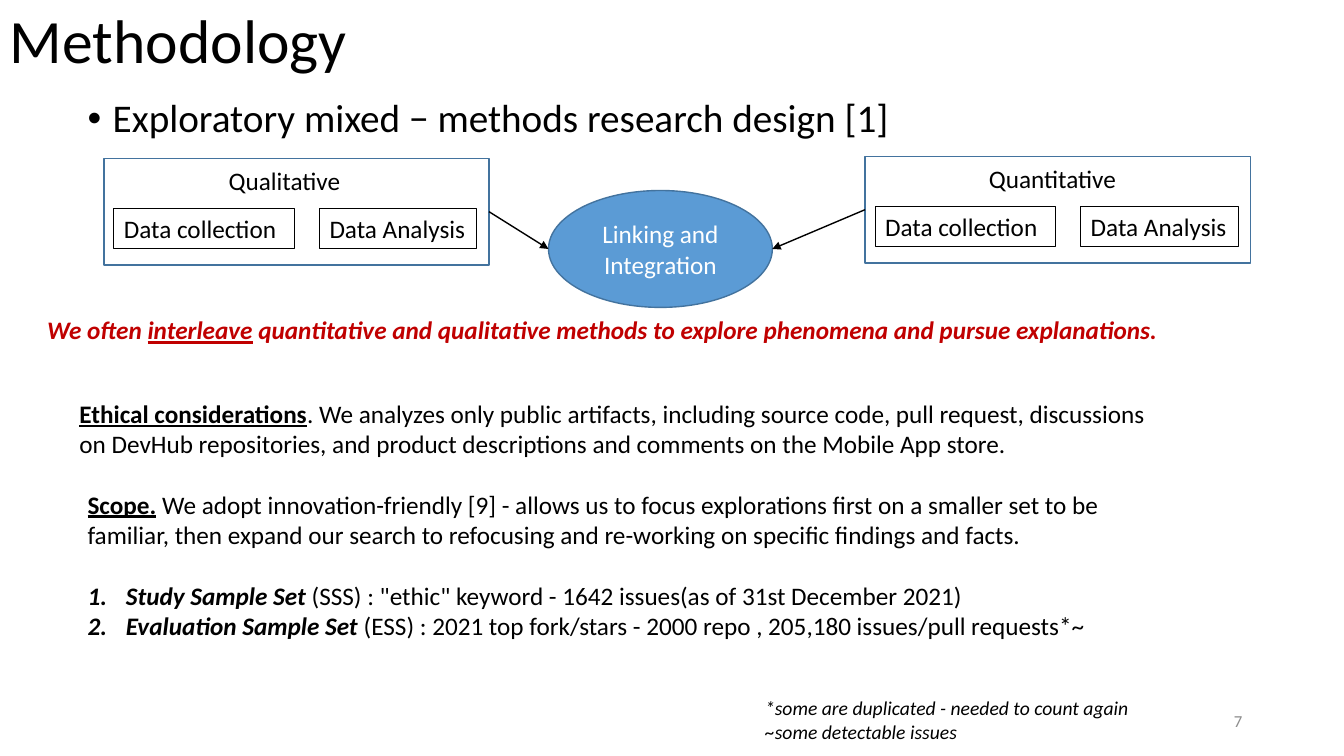
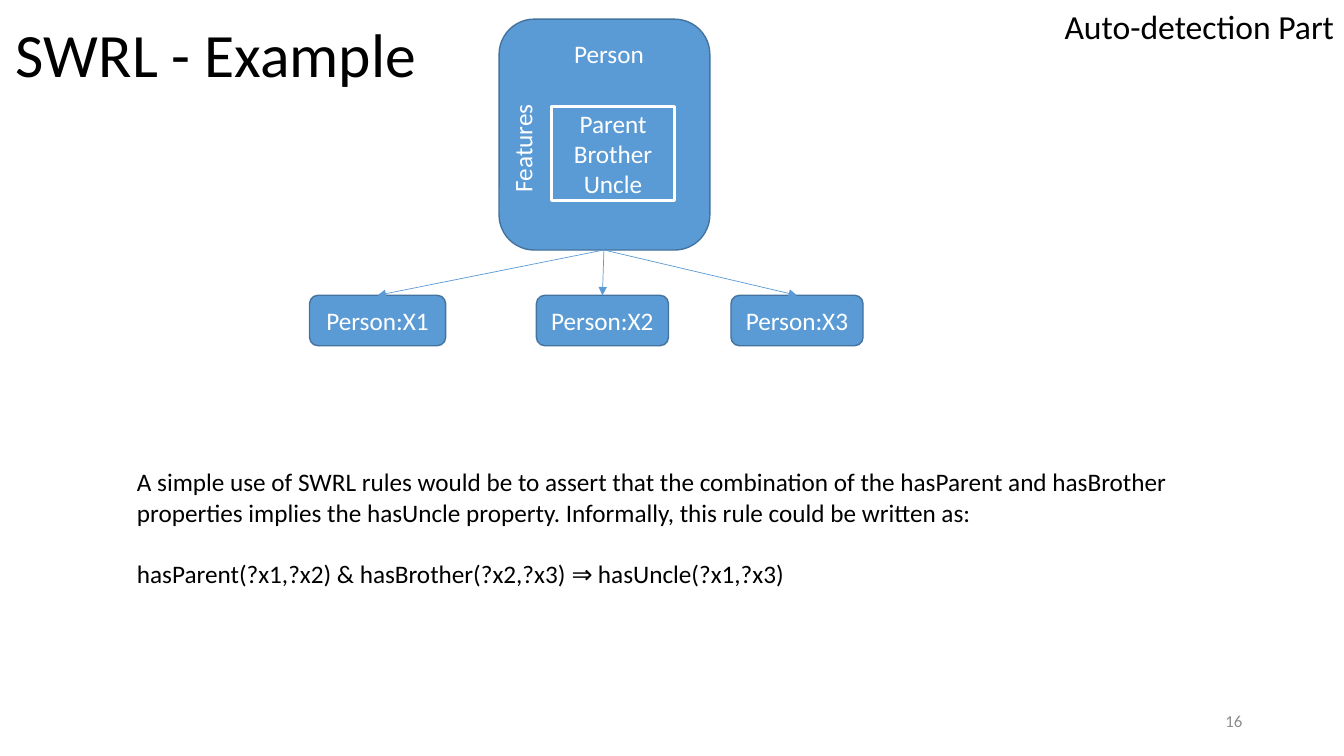
"""Build the methodology slide and the SWRL example slide."""
from dataclasses import dataclass

from lxml.etree import SubElement
from pptx import Presentation
from pptx.dml.color import RGBColor as RGB
from pptx.enum.shapes import MSO_CONNECTOR as LINE, MSO_SHAPE as GEO
from pptx.enum.text import MSO_ANCHOR as ANC, PP_ALIGN as AL
from pptx.oxml.ns import qn
from pptx.util import Inches, Pt


@dataclass(frozen=True)
class Theme:
    font: str = "Calibri"
    black: str = "000000"
    white: str = "FFFFFF"
    blue: str = "5B9BD5"
    edge: str = "43739E"
    red: str = "C00000"
    gray: str = "8C8C8C"
    title: int = 44
    lead: int = 28
    tag: int = 24
    text: int = 18
    note: int = 14
    foot: int = 12


T = Theme()


def box(slide, spot, paras=(), geo=None, fill=None, line=None, wide=1, size=T.text,
        ink=T.black, align=AL.LEFT, anchor=ANC.TOP, wrap=True, lead=None):
    """Add a box; a paragraph is (runs, space before, bullet, indent), a run (text, style)."""
    spot = [Inches(v) for v in spot]
    if geo is None:
        shape = slide.shapes.add_textbox(*spot)
    else:
        shape = slide.shapes.add_shape(geo, *spot)
        shape.shadow.inherit = False
        if fill:
            shape.fill.solid()
            shape.fill.fore_color.rgb = RGB.from_string(fill)
        else:
            shape.fill.background()
        if line:
            shape.line.color.rgb = RGB.from_string(line)
            shape.line.width = Pt(wide)
        else:
            shape.line.fill.background()
    frame = shape.text_frame
    frame.word_wrap = wrap
    frame.vertical_anchor = anchor
    for n, (runs, gap, mark, dent) in enumerate(paras):
        para = frame.add_paragraph() if n else frame.paragraphs[0]
        para.alignment = align
        if lead:
            para.line_spacing = lead
        if gap:
            para.space_before = Pt(gap)
        if mark:
            props = para._p.get_or_add_pPr()
            props.set("marL", str(Inches(dent)))
            props.set("indent", str(-Inches(dent)))
            if mark == "1.":
                SubElement(props, qn("a:buFont"), typeface="+mj-lt")
                SubElement(props, qn("a:buAutoNum"), type="arabicPeriod")
            else:
                SubElement(props, qn("a:buFont"), typeface="Arial")
                SubElement(props, qn("a:buChar"), char=mark)
        for text, style in runs:
            run = para.add_run()
            run.text = text
            font = run.font
            font.name, font.size = T.font, Pt(size)
            font.color.rgb = RGB.from_string(ink)
            font.bold, font.italic, font.underline = (k in style for k in "biu")
    return shape


def link(slide, start, end, ink, wide):
    """Add an arrow from start to end."""
    wire = slide.shapes.add_connector(LINE.STRAIGHT, *(Inches(v) for v in (*start, *end)))
    wire.line.color.rgb = RGB.from_string(ink)
    wire.line.width = Pt(wide)
    SubElement(wire.line._get_or_add_ln(), qn("a:tailEnd"), type="triangle")
    SubElement(wire._element.spPr, qn("a:effectLst"))


deck = Presentation()
deck.slide_width, deck.slide_height = Inches(13.33), Inches(7.5)
blank = deck.slide_layouts[6]
node = dict(fill=T.blue, ink=T.white, align=AL.CENTER, anchor=ANC.MIDDLE)

pages = []
for name, spot, num in (("Methodology", (0, 0, 11.5, 0.87), "7"),
                        ("SWRL - Example", (0.06, 0.09, 5.05, 0.96), "16")):
    page = deck.slides.add_slide(blank)
    box(page, spot, [([(name, "")], 0, "", 0)], size=T.title, anchor=ANC.MIDDLE, lead=0.9)
    box(page, (9.42, 6.95, 3, 0.4), [([(num, "")], 0, "", 0)], size=T.foot, ink=T.gray,
        align=AL.RIGHT, anchor=ANC.MIDDLE)
    pages.append(page)
method, swrl = pages

box(method, (0.77, 0.93, 11.5, 0.78),
    [([("Exploratory mixed − methods research design [1]", "")], 0, "•", 0.25)],
    size=T.lead, lead=0.9)
for name, left, top, shift, wide in (("Quantitative", 8.58, 1.55, 1.13, 1.48),
                                     ("Qualitative", 1.03, 1.57, 1.14, 1.32)):
    box(method, (left, top, 3.82, 1.06), geo=GEO.RECTANGLE, line=T.edge)
    box(method, (left + shift, top + 0.02, wide, 0.4), [([(name, "")], 0, "", 0)], wrap=False)
    for step, dx, span in (("Data collection", 0.1, 1.79), ("Data Analysis", 2.14, 1.56)):
        box(method, (left + dx, top + 0.5, span, 0.4), [([(step, "")], 0, "", 0)],
            geo=GEO.RECTANGLE, line=T.black, wide=0.75, wrap=False)
box(method, (5.44, 1.89, 2.22, 1.16), [([("Linking and Integration", "")], 0, "", 0)],
    geo=GEO.OVAL, line=T.edge, **node)
for start, end in (((4.85, 2.1), (5.44, 2.47)), ((8.58, 2.08), (7.66, 2.47))):
    link(method, start, end, T.black, 1)

box(method, (0.37, 3.07, 12.96, 0.4), [([
    ("We often ", "bi"), ("interleave", "biu"),
    (" quantitative and qualitative methods to explore phenomena and pursue explanations.",
     "bi")], 0, "", 0)], ink=T.red)
box(method, (0.69, 3.9, 10.97, 0.71), [([
    ("Ethical considerations", "bu"),
    (". We analyzes only public artifacts, including source code, pull request, discussions "
     "on DevHub repositories, and product descriptions and comments on the Mobile App store.",
     "")], 0, "", 0)])
box(method, (0.77, 4.8, 10.97, 1.62), [
    ([("Scope.", "bu"),
      (" We adopt innovation-friendly [9] - allows us to focus explorations first on a smaller "
       "set to be familiar, then expand our search to refocusing and re-working on specific "
       "findings and facts.", "")], 0, "", 0),
    ([("Study Sample Set ", "bi"),
      ("(SSS) : \"ethic\" keyword - 1642 issues(as of 31st December 2021)", "")], 22, "1.", 0.38),
    ([("Evaluation Sample Set ", "bi"),
      ("(ESS) : 2021 top fork/stars - 2000 repo , 205,180 issues/pull requests*~", "")],
     0, "1.", 0.38)])
box(method, (7.49, 6.86, 3.86, 0.57), [
    ([(text, "i")], 0, "", 0) for text in
    ("*some are duplicated - needed to count again", "~some detectable issues")],
    size=T.note, wrap=False)

box(swrl, (4.95, 0.19, 2.09, 2.29), geo=GEO.ROUNDED_RECTANGLE, fill=T.blue, line=T.edge)
box(swrl, (5.23, 0.35, 1.62, 0.37), [([("Person", "")], 0, "", 0)], geo=GEO.RECTANGLE, **node)
side = box(swrl, (4.53, 1.28, 1.3, 0.38), [([("Features", "")], 0, "", 0)],
           geo=GEO.RECTANGLE, **node)
side.rotation = 270
box(swrl, (5.47, 1.06, 1.22, 0.93),
    [([(kin, "")], 0, "", 0) for kin in ("Parent", "Brother", "Uncle")],
    geo=GEO.RECTANGLE, line=T.white, wide=2.25, **node)
for n, (left, wide) in enumerate(((3.07, 1.35), (5.32, 1.31), (7.25, 1.31)), 1):
    box(swrl, (left, 2.93, wide, 0.5), [([(f"Person:X{n}", "")], 0, "", 0)],
        geo=GEO.ROUNDED_RECTANGLE, line=T.edge, **node)
    link(swrl, (5.99, 2.48), (left + wide / 2, 2.93), T.blue, 0.5)

box(swrl, (1.26, 4.58, 10.52, 1.31), [
    ([("A simple use of SWRL rules would be to assert that the combination of the hasParent and "
       "hasBrother properties implies the hasUncle property. Informally, this rule could be "
       "written as:", "")], 0, "", 0),
    ([("hasParent(?x1,?x2) & hasBrother(?x2,?x3) ⇒ hasUncle(?x1,?x3)", "")], 22, "", 0)])
box(swrl, (10.46, 0.01, 2.88, 0.5), [([("Auto-detection Part", "")], 0, "", 0)], size=T.tag)

deck.save("out.pptx")
